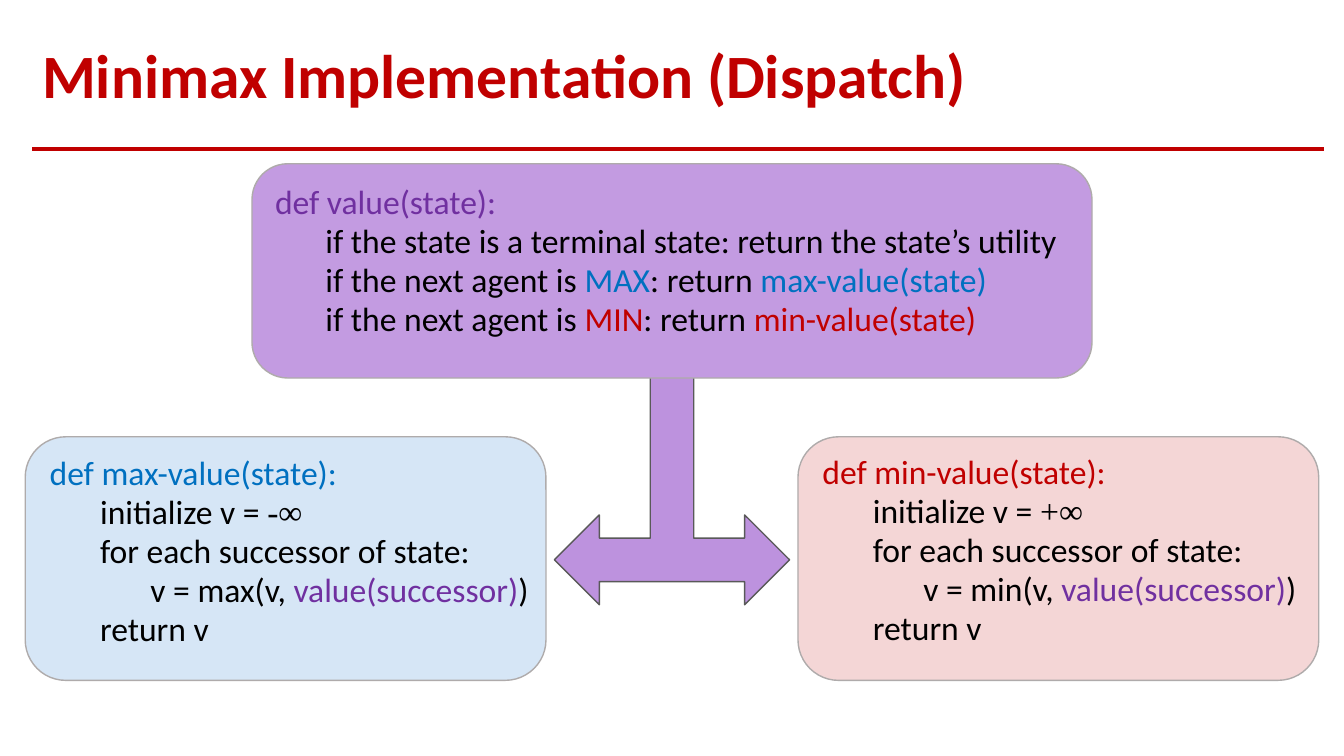
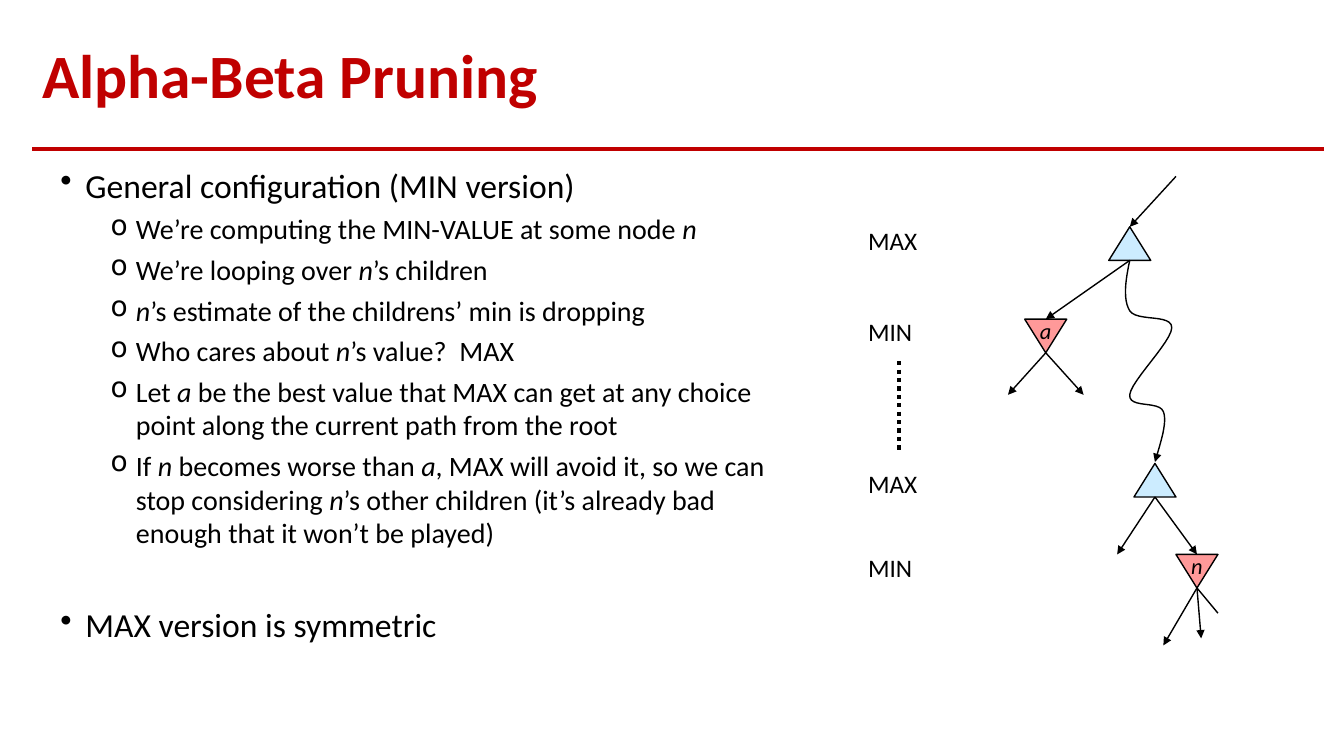
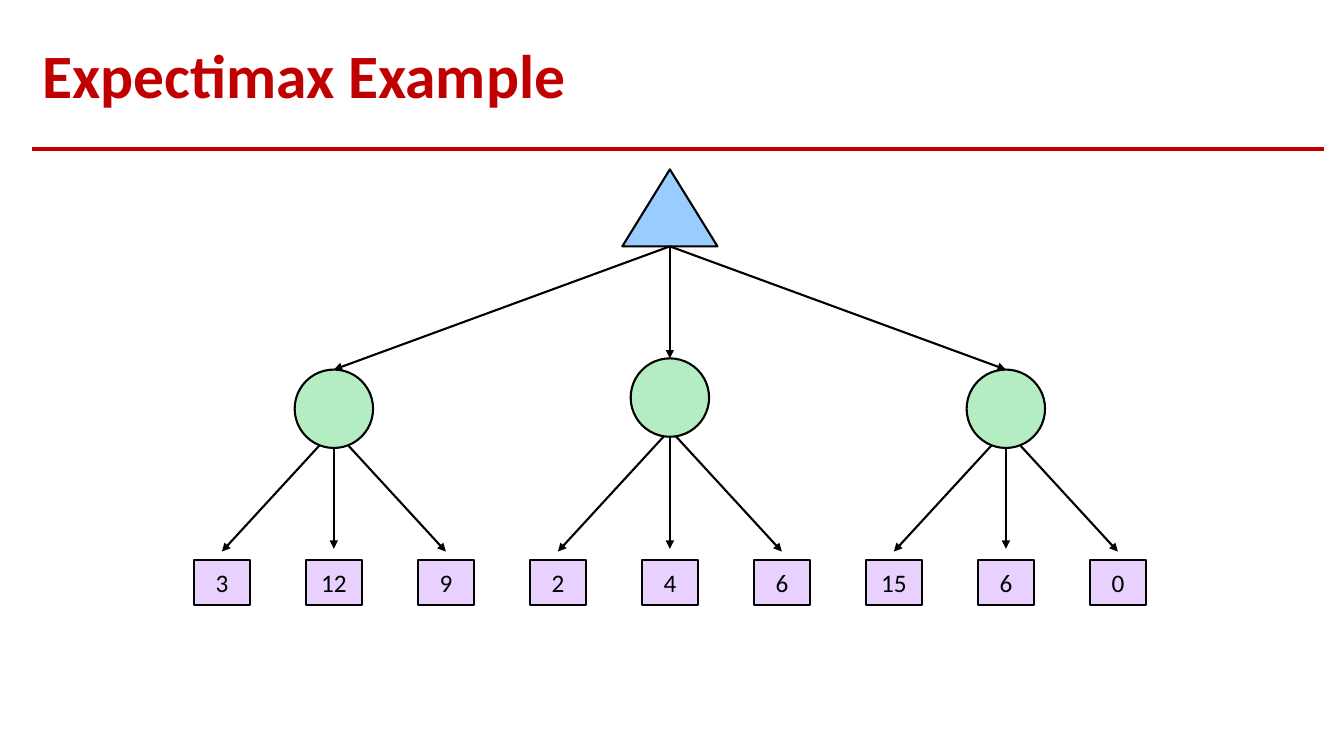
from dataclasses import dataclass

from lxml.etree import SubElement
from pptx import Presentation
from pptx.dml.color import RGBColor
from pptx.enum.dml import MSO_LINE
from pptx.enum.shapes import MSO_CONNECTOR, MSO_SHAPE as Preset
from pptx.enum.text import MSO_ANCHOR as Anchor, PP_ALIGN as Align
from pptx.oxml.ns import qn
from pptx.util import Pt


@dataclass(frozen=True)
class Theme:
    font: str = "Calibri"
    math_font: str = "Times New Roman"
    ink: str = "000000"
    accent: str = "C00000"
    max_text: str = "0070C0"
    value_text: str = "7030A0"
    max_panel: str = "0066CC"
    value_panel: str = "C39BE1"
    panel_edge: str = "AFABAB"
    arrow: str = "BD92DE"
    arrow_edge: str = "595959"
    max_node: str = "CCECFF"
    min_node: str = "FF9999"
    root_node: str = "99CCFF"
    chance_node: str = "B5EDC2"
    leaf: str = "E8D1FF"
    title_size: int = 44
    text_size: int = 24
    detail_size: int = 20
    label_size: int = 18
    node_size: int = 16


THEME = Theme()

# A run is plain text, or (text, style)
RUN_STYLES = {
    "max": {"color": THEME.max_text},
    "min": {"color": THEME.accent},
    "value": {"color": THEME.value_text},
    "math": {"font": THEME.math_font},
    "var": {"italic": True},
}
N, A = ("n", "var"), ("a", "var")

# Slide 1: code lines are (level, runs)
VALUE_CODE = [
    (0, [("def value(state):", "value")]),
    (1, ["if the state is a terminal state: return the state’s utility"]),
    (1, ["if the next agent is ", ("MAX", "max"), ": return ", ("max-value(state)", "max")]),
    (1, ["if the next agent is ", ("MIN", "min"), ": return ", ("min-value(state)", "min")]),
]


def player_code(player, start):
    return [
        (0, [(f"def {player}-value(state):", player)]),
        (1, ["initialize v = ", (start, "math")]),
        (1, ["for each successor of state:"]),
        (2, [f"v = {player}(v, ", ("value(successor)", "value"), ")"]),
        (1, ["return v"]),
    ]


# (box, fill, opacity %, top inset, code)
PANELS = [
    ((570, 312, 372, 174), THEME.accent, 16, 7, player_code("min", "+∞")),
    ((18, 312, 372, 174), THEME.max_panel, 16, 8.2, player_code("max", "-∞")),
    ((180, 117, 600, 153), THEME.value_panel, 100, 10.5, VALUE_CODE),
]

# Slide 2: bullets are (level, space before, runs)
PRUNING_POINTS = [
    (0, 0, ["General configuration (MIN version)"]),
    (1, 5, ["We’re computing the MIN-VALUE at some node ", N]),
    (1, 5, ["We’re looping over ", N, "’s children"]),
    (1, 5, [N, "’s estimate of the childrens’ min is dropping"]),
    (1, 5, ["Who cares about ", N, "’s value?  MAX"]),
    (1, 5, ["Let ", A, " be the best value that MAX can get at any choice point "
            "along the current path from the root"]),
    (1, 5, ["If ", N, " becomes worse than ", A, ", MAX will avoid it, so we can stop "
            "considering ", N, "’s other children (it’s already bad enough that it won’t be played)"]),
    (0, 39, ["MAX version is symmetric"]),
]
BULLETS = [("•", 18, THEME.text_size), ("o", 54, THEME.detail_size)]
LAYER_LABELS = [("MAX", 157), ("MIN", 222), ("MAX", 331), ("MIN", 391)]

# Nodes are (centre x, top, label); only MIN nodes have one
NODE_W, NODE_H = 30, 24
ROOT, NODE_A = (807, 162, None), (747, 228, "a")
DEEP_MAX, NODE_N = (825, 331, None), (855, 396, "n")


def top_of(node):
    return node[0], node[1]


def foot_of(node):
    return node[0], node[1] + NODE_H


TREE_ARROWS = [
    ((840, 126), top_of(ROOT)),
    (foot_of(ROOT), top_of(NODE_A)),
    (foot_of(NODE_A), (720, 282)),
    (foot_of(NODE_A), (774, 282)),
    (foot_of(DEEP_MAX), (798, 396)),
    (foot_of(DEEP_MAX), top_of(NODE_N)),
    (foot_of(NODE_N), (831, 461)),
    (foot_of(NODE_N), (858, 456)),
]
# Cubic segments: two control points and an end
LONG_PATH = [
    [(804, 200), (802, 214), (807, 222)],
    [(812, 230), (837, 224), (837, 234)],
    [(837, 244), (808, 272), (807, 282)],
    [(806, 292), (828, 286), (831, 294)],
    [(834, 302), (829, 316), (825, 330)],
]

# Slide 3: chance nodes are (top, leaf values)
CHANCE_NODES = [(264, [3, 12, 9]), (256, [2, 4, 6]), (264, [15, 6, 0])]
LEAF_W, LEAF_H, LEAF_TOP, LEAF_PITCH, FIRST_LEAF_X = 40, 32, 400.3, 80, 158.5
CHANCE_SIZE = 56


def rgb(color):
    return RGBColor.from_string(color)


def points(values):
    return [Pt(v) for v in values]


def set_insets(frame, left, top, right, bottom):
    frame.margin_left, frame.margin_top = Pt(left), Pt(top)
    frame.margin_right, frame.margin_bottom = Pt(right), Pt(bottom)


def write(paragraph, runs, size, bold=False):
    for item in runs:
        text, style = (item, None) if isinstance(item, str) else item
        look = RUN_STYLES.get(style, {})
        run = paragraph.add_run()
        run.text = text
        font = run.font
        font.size, font.bold = Pt(size), bold
        font.name = look.get("font", THEME.font)
        font.italic = look.get("italic", False)
        font.color.rgb = rgb(look.get("color", THEME.ink))


def paragraphs(frame, count):
    """Return count paragraphs of the frame, the first being the one it has."""
    return [frame.paragraphs[0]] + [frame.add_paragraph() for _ in range(count - 1)]


def indent(paragraph, margin, hanging=0):
    props = paragraph._p.get_or_add_pPr()
    props.set("marL", str(Pt(margin)))
    props.set("indent", str(-Pt(hanging)))
    return props


def add_text(slide, box, anchor=Anchor.TOP):
    frame = slide.shapes.add_textbox(*points(box)).text_frame
    frame.word_wrap, frame.vertical_anchor = True, anchor
    return frame


def add_figure(slide, preset, box, fill, edge=THEME.ink, width=1, opacity=100):
    figure = slide.shapes.add_shape(preset, *points(box))
    figure.shadow.inherit = False
    figure.fill.solid()
    figure.fill.fore_color.rgb = rgb(fill)
    if opacity < 100:
        color = figure._element.spPr.find(qn("a:solidFill"))[0]
        SubElement(color, qn("a:alpha"), val=str(opacity * 1000))
    figure.line.color.rgb = rgb(edge)
    figure.line.width = Pt(width)
    return figure


def label_figure(figure, text, size, top=0):
    frame = figure.text_frame
    frame.word_wrap, frame.vertical_anchor = False, Anchor.MIDDLE
    set_insets(frame, 0, top, 0, 0)
    frame.paragraphs[0].alignment = Align.CENTER
    write(frame.paragraphs[0], [text], size)


def add_arrowhead(line):
    SubElement(line._get_or_add_ln(), qn("a:tailEnd"), type="triangle")


def add_line(slide, start, end, width=1, color=THEME.ink, arrow=False):
    connector = slide.shapes.add_connector(MSO_CONNECTOR.STRAIGHT, *points((*start, *end)))
    connector.line.color.rgb = rgb(color)
    connector.line.width = Pt(width)
    if arrow:
        add_arrowhead(connector.line)
    SubElement(connector._element.spPr, qn("a:effectLst"))
    return connector


def new_slide(deck, title):
    slide = deck.slides.add_slide(deck.slide_layouts[6])
    add_line(slide, (23, 106.5), (946, 106.5), 2.5, THEME.accent)
    heading = add_text(slide, (23, 20, 923, 72), Anchor.MIDDLE).paragraphs[0]
    heading.line_spacing = 0.9
    write(heading, [(title, "min")], THEME.title_size, bold=True)
    return slide


def dispatch_slide(deck):
    slide = new_slide(deck, "Minimax Implementation (Dispatch)")
    split = add_figure(slide, Preset.LEFT_RIGHT_UP_ARROW, (396, 228, 168, 204),
                       THEME.arrow, THEME.arrow_edge)
    for i, ratio in enumerate((0.185, 0.191, 0.191)):
        split.adjustments[i] = ratio
    for box, fill, opacity, top, code in PANELS:
        panel = add_figure(slide, Preset.ROUNDED_RECTANGLE, box, fill, THEME.panel_edge,
                           opacity=opacity)
        frame = panel.text_frame
        frame.word_wrap, frame.vertical_anchor = True, Anchor.TOP
        set_insets(frame, 9, top, 0, 0)
        for i, (line, (level, runs)) in enumerate(zip(paragraphs(frame, len(code)), code)):
            line.alignment = Align.LEFT
            line.line_spacing = 0.8
            line.space_before = Pt(4.8 if i else 0)
            indent(line, 36 * level)
            write(line, runs, THEME.text_size)


def curve_points(start, segments, steps=12):
    for c1, c2, end in segments:
        for i in range(1, steps + 1):
            t = i / steps
            u = 1 - t
            yield tuple(u**3 * p + 3 * u * u * t * q + 3 * u * t * t * r + t**3 * s
                        for p, q, r, s in zip(start, c1, c2, end))
        start = end


def pruning_slide(deck):
    slide = new_slide(deck, "Alpha-Beta Pruning")
    frame = add_text(slide, (36, 114, 540, 356))
    for point, (level, before, runs) in zip(paragraphs(frame, len(PRUNING_POINTS)), PRUNING_POINTS):
        mark, margin, size = BULLETS[level]
        point.space_before = Pt(before)
        SubElement(indent(point, margin, 18), qn("a:buChar"), char=mark)
        write(point, runs, size)

    for layer, top in LAYER_LABELS:
        label = add_text(slide, (613, top, 60, 29), Anchor.MIDDLE)
        write(label.paragraphs[0], [layer], THEME.label_size)
    add_line(slide, (642, 258), (642, 324), 3).line.dash_style = MSO_LINE.ROUND_DOT

    for x, top, name in (ROOT, NODE_A, DEEP_MAX, NODE_N):
        box = (x - NODE_W / 2, top, NODE_W, NODE_H)
        if name:
            node = add_figure(slide, Preset.FLOWCHART_MERGE, box, THEME.min_node)
            label_figure(node, (name, "var"), THEME.node_size, top=4)
        else:
            add_figure(slide, Preset.ISOSCELES_TRIANGLE, box, THEME.max_node)
    for start, end in TREE_ARROWS:
        add_line(slide, start, end, arrow=True)
    add_line(slide, foot_of(NODE_N), (870, 438))

    outline = slide.shapes.build_freeform(*points(foot_of(ROOT)), scale=1.0)
    outline.add_line_segments([points(p) for p in curve_points(foot_of(ROOT), LONG_PATH)],
                              close=False)
    path = outline.convert_to_shape()
    path.shadow.inherit = False
    path.fill.background()
    path.line.color.rgb = rgb(THEME.ink)
    path.line.width = Pt(1)
    add_arrowhead(path.line)


def expectimax_slide(deck):
    slide = new_slide(deck, "Expectimax Example")
    root_x = FIRST_LEAF_X + 4 * LEAF_PITCH
    add_figure(slide, Preset.ISOSCELES_TRIANGLE, (root_x - 34, 121, 68, 55),
               THEME.root_node, width=1.5)
    for group, (top, values) in enumerate(CHANCE_NODES):
        chance_x = FIRST_LEAF_X + (3 * group + 1) * LEAF_PITCH
        for i, value in enumerate(values):
            leaf_x = chance_x + (i - 1) * LEAF_PITCH
            add_line(slide, (chance_x, 307), (leaf_x, 392 if i == 1 else 394), 1.5, arrow=True)
            leaf = add_figure(slide, Preset.RECTANGLE,
                              (leaf_x - LEAF_W / 2, LEAF_TOP, LEAF_W, LEAF_H),
                              THEME.leaf, width=1.5)
            label_figure(leaf, str(value), THEME.label_size)
        chance = add_figure(slide, Preset.OVAL,
                            (chance_x - CHANCE_SIZE / 2, top, CHANCE_SIZE, CHANCE_SIZE),
                            THEME.chance_node, width=1.5)
        branch = add_line(slide, (root_x, 176), (chance_x, top), 1.5, arrow=True)
        branch.end_connect(chance, 0)


def main():
    deck = Presentation()
    deck.slide_width, deck.slide_height = Pt(960), Pt(540)
    dispatch_slide(deck)
    pruning_slide(deck)
    expectimax_slide(deck)
    deck.save("out.pptx")


if __name__ == "__main__":
    main()
